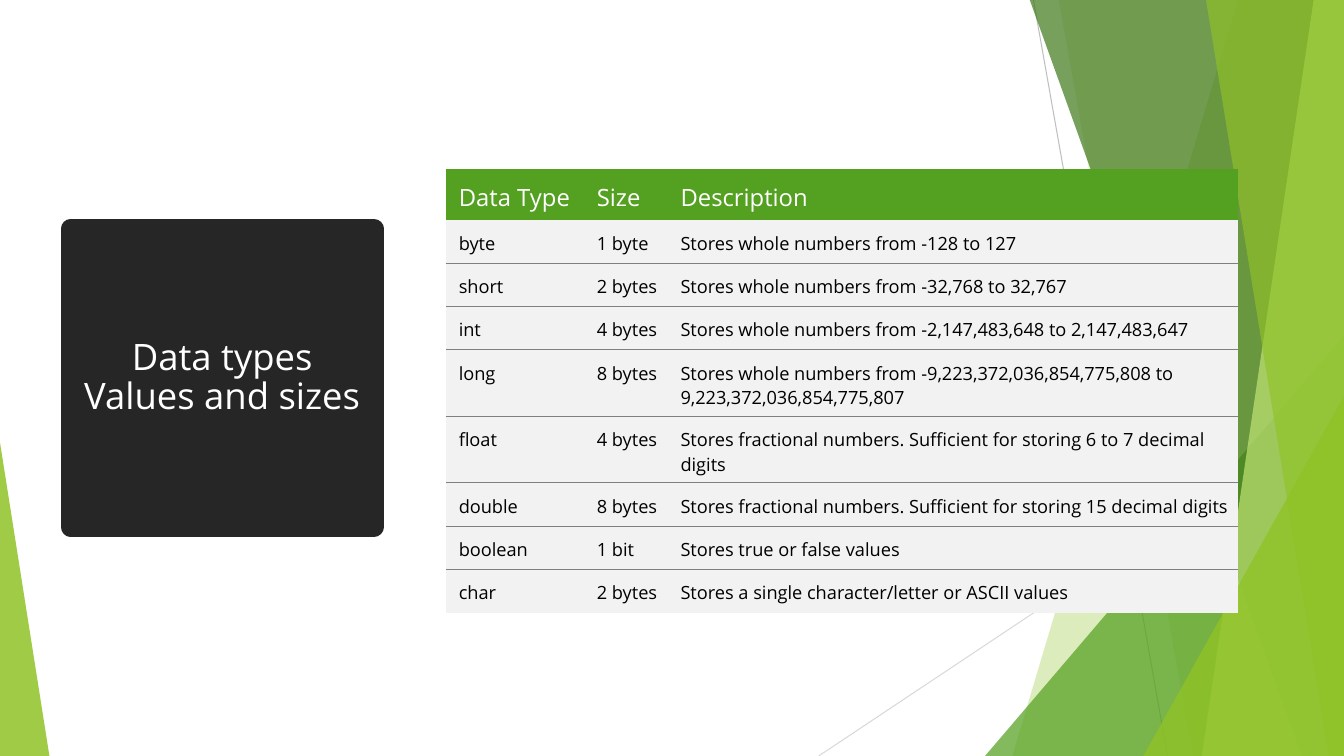
"""Build the slide on data types, their values and sizes."""
from dataclasses import dataclass
from typing import NamedTuple

from lxml.etree import SubElement
from pptx import Presentation
from pptx.dml.color import RGBColor
from pptx.enum.shapes import MSO_CONNECTOR, MSO_SHAPE
from pptx.enum.text import MSO_ANCHOR, PP_ALIGN
from pptx.oxml import parse_xml
from pptx.oxml.ns import nsdecls, qn
from pptx.util import Inches, Pt


@dataclass(frozen=True)
class Theme:
    font: str = "Open Sans"
    lime: str = "90C226"
    green: str = "54A021"
    forest: str = "3F7819"
    pale: str = "C0E474"
    dark: str = "262626"
    white: str = "FFFFFF"
    black: str = "000000"
    row: str = "F2F2F2"
    rule: str = "808080"
    title_size: float = 26
    header_size: float = 17
    body_size: float = 13
    hairline: float = 0.75


class Ray(NamedTuple):
    start: tuple[float, float]
    end: tuple[float, float]
    color: str


class Band(NamedTuple):
    top_x: float
    bottom_x: float
    color: str
    opacity: int


class Wedge(NamedTuple):
    box: tuple[float, float, float, float]
    apex: float
    color: str
    opacity: int


THEME = Theme()
WIDTH, HEIGHT, BLEED = 13.33, 7.5, -0.01
NO_STYLE = "{2D5ABB26-0587-4C30-8999-92F81FD0307C}"
DECOR = [
    Ray((10.25, 0), (11.58, HEIGHT), "BFBFBF"),
    Ray((WIDTH, 4.03), (8.12, HEIGHT), "D9D9D9"),
    Band(12.28, 10.04, THEME.lime, 30),
    Band(10.5, 11.83, THEME.lime, 20),
    Wedge((9.77, 3.33, 3.56, 4.17), 1, THEME.green, 72),
    Band(10.21, 12.91, THEME.forest, 70),
    Band(13.03, 11.92, THEME.pale, 70),
    Band(11.96, 13.18, THEME.lime, 65),
    Wedge((11.34, 3.93, 1.99, 3.57), 1, THEME.lime, 80),
    Wedge((0, 4.39, 0.49, 3.11), 0, THEME.lime, 85),
]
COLUMNS = [1.44, 0.83, 5.59]
ROWS = [
    ("Data Type", "Size", "Description"),
    ("byte", "1 byte", "Stores whole numbers from -128 to 127"),
    ("short", "2 bytes", "Stores whole numbers from -32,768 to 32,767"),
    ("int", "4 bytes", "Stores whole numbers from -2,147,483,648 to 2,147,483,647"),
    ("long", "8 bytes", "Stores whole numbers from -9,223,372,036,854,775,808 to 9,223,372,036,854,775,807"),
    ("float", "4 bytes", "Stores fractional numbers. Sufficient for storing 6 to 7 decimal digits"),
    ("double", "8 bytes", "Stores fractional numbers. Sufficient for storing 15 decimal digits"),
    ("boolean", "1 bit", "Stores true or false values"),
    ("char", "2 bytes", "Stores a single character/letter or ASCII values"),
]
HEIGHTS = [0.5, 0.43, 0.43, 0.43, 0.64, 0.43, 0.43, 0.43, 0.43]


def paint(fill, color: str) -> None:
    fill.solid()
    fill.fore_color.rgb = RGBColor.from_string(color)


def style_font(font, size: float, color: str) -> None:
    for name, value in {"name": THEME.font, "size": Pt(size)}.items():
        setattr(font, name, value)
    font.color.rgb = RGBColor.from_string(color)


def finish(sp, color: str, opacity: int) -> None:
    sp.shadow.inherit = False
    paint(sp.fill, color)
    sp.line.fill.background()
    clr = sp.fill._xPr.find(qn("a:solidFill"))[0]
    SubElement(clr, qn("a:alpha"), val=str(opacity * 1000))


def draw_ray(s, ray: Ray) -> None:
    ends = [Inches(v) for v in ray.start + ray.end]
    line = s.shapes.add_connector(MSO_CONNECTOR.STRAIGHT, *ends)
    line.line.width = Pt(THEME.hairline)
    line.line.color.rgb = RGBColor.from_string(ray.color)
    SubElement(line._element.spPr, qn("a:effectLst"))


def draw_band(s, band: Band) -> None:
    corners = [(band.top_x, BLEED), (WIDTH, BLEED), (WIDTH, HEIGHT), (band.bottom_x, HEIGHT)]
    points = [(Inches(x), Inches(y)) for x, y in corners]
    fb = s.shapes.build_freeform(*points[0])
    fb.add_line_segments(points[1:], close=True)
    finish(fb.convert_to_shape(), band.color, band.opacity)


def draw_wedge(s, wedge: Wedge) -> None:
    box = [Inches(v) for v in wedge.box]
    sp = s.shapes.add_shape(MSO_SHAPE.ISOSCELES_TRIANGLE, *box)
    sp.adjustments[0] = wedge.apex
    finish(sp, wedge.color, wedge.opacity)


def draw_title(s) -> None:
    box = [Inches(v) for v in (0.7, 2.27, 3.01, 2.96)]
    sp = s.shapes.add_shape(MSO_SHAPE.RECTANGLE, *box)
    sp.shadow.inherit = False
    paint(sp.fill, THEME.dark)
    paint(sp.line.fill, THEME.dark)
    sp.line.width = Pt(13.75)
    SubElement(sp.line._get_or_add_ln(), qn("a:round"))
    tf = sp.text_frame
    for name, value in {"word_wrap": True, "vertical_anchor": MSO_ANCHOR.MIDDLE}.items():
        setattr(tf, name, value)
    p = tf.paragraphs[0]
    p.text = "Data types\vValues and sizes"
    p.alignment = PP_ALIGN.CENTER
    p.line_spacing = 0.9
    for r in p.runs:
        style_font(r.font, THEME.title_size, THEME.white)


def rule_below(cell) -> None:
    cell._tc.get_or_add_tcPr().insert(0, parse_xml(
        f'<a:lnB {nsdecls("a")} w="{Pt(THEME.hairline)}"><a:solidFill>'
        f'<a:srgbClr val="{THEME.rule}"/></a:solidFill></a:lnB>'))


def draw_cell(cell, text: str, row: int, col: int) -> None:
    header = row == 0
    margins = {"margin_left": 0.06 if col else 0.13, "margin_top": 0.11,
               "margin_right": 0.06, "margin_bottom": 0.06}
    for name, value in margins.items():
        setattr(cell, name, Inches(value))
    cell.vertical_anchor = MSO_ANCHOR.MIDDLE if header else MSO_ANCHOR.TOP
    paint(cell.fill, THEME.green if header else THEME.row)
    r = cell.text_frame.paragraphs[0].add_run()
    r.text = text
    if header:
        style_font(r.font, THEME.header_size, THEME.white)
    else:
        style_font(r.font, THEME.body_size, THEME.black)
    if 0 < row < len(ROWS) - 1:
        rule_below(cell)


def draw_table(s) -> None:
    box = [Inches(v) for v in (4.42, 1.68, sum(COLUMNS), sum(HEIGHTS))]
    table = s.shapes.add_table(len(ROWS), len(COLUMNS), *box).table
    table.horz_banding = False
    table._tbl.tblPr.find(qn("a:tableStyleId")).text = NO_STYLE
    for column, width in zip(table.columns, COLUMNS):
        column.width = Inches(width)
    for i, (texts, height) in enumerate(zip(ROWS, HEIGHTS)):
        table.rows[i].height = Inches(height)
        for j, text in enumerate(texts):
            draw_cell(table.cell(i, j), text, i, j)


def main() -> None:
    prs = Presentation()
    prs.slide_width, prs.slide_height = Inches(WIDTH), Inches(HEIGHT)
    s = prs.slides.add_slide(prs.slide_layouts[6])
    draw = {Ray: draw_ray, Band: draw_band, Wedge: draw_wedge}
    for item in DECOR:
        draw[type(item)](s, item)
    draw_title(s)
    draw_table(s)
    prs.save("out.pptx")


main()
